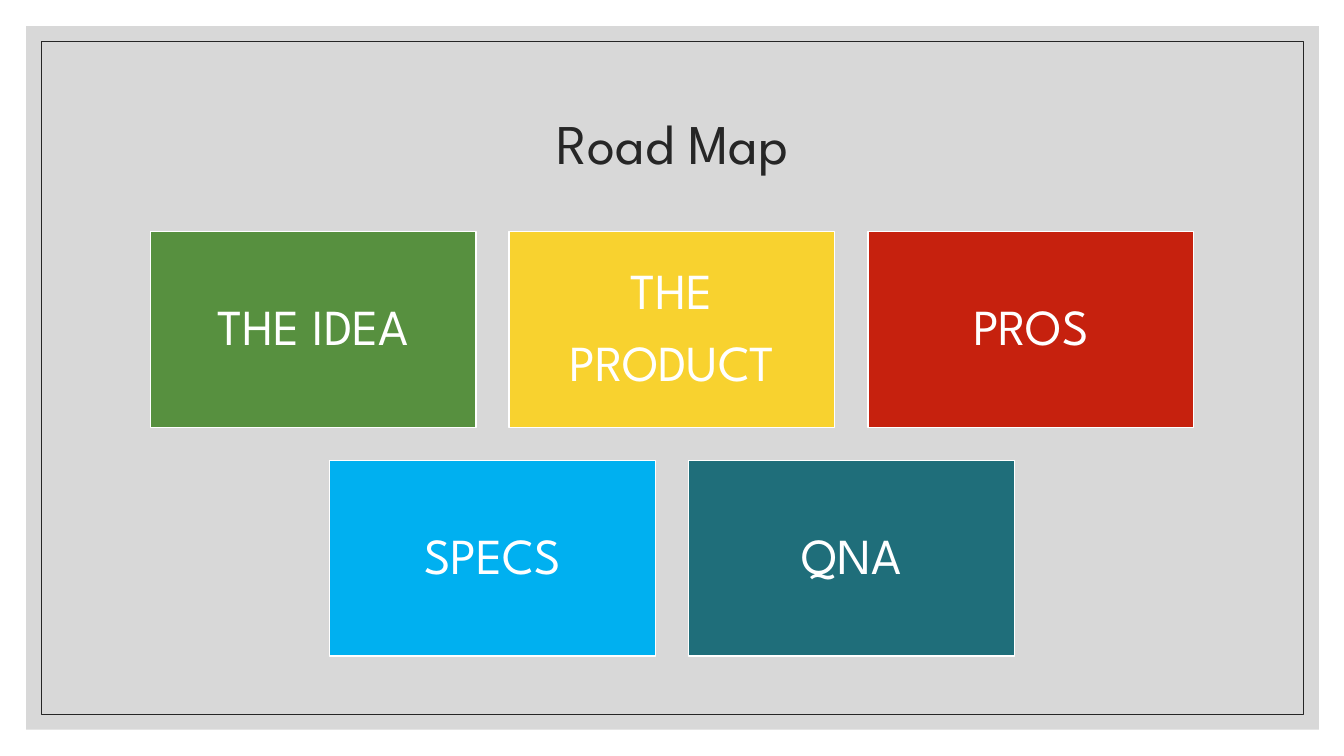
import pptx
import pptx.dml.color
import pptx.enum.shapes
import pptx.enum.text
import pptx.oxml.ns
import pptx.util
from dataclasses import dataclass
from lxml import etree

EMU_PER_PX = 9144  # 100 px to the inch
PAGE_WIDTH, PAGE_HEIGHT = 1333, 750
CARD_WIDTH, CARD_HEIGHT, CARD_GAP = 323, 194, 33
CARDS_TOP = 230


@dataclass(frozen=True)
class Theme:
    font: str = "League Spartan"
    title_size: int = 40
    card_size: int = 36
    card_space_after: float = 12.6
    line_spacing: float = 0.9
    ink: str = "262626"
    white: str = "FFFFFF"
    panel: str = "BFBFBF"
    green: str = "57903F"
    yellow: str = "F8D22F"
    red: str = "C6210E"
    blue: str = "00B0F0"
    teal: str = "1F6E7A"


THEME = Theme()
CARD_ROWS = [
    [("THE IDEA", THEME.green), ("THE\nPRODUCT", THEME.yellow), ("PROS", THEME.red)],
    [("SPECS", THEME.blue), ("QNA", THEME.teal)],
]


def px(length):
    return pptx.util.Emu(length * EMU_PER_PX)


def rgb(code):
    return pptx.dml.color.RGBColor.from_string(code)


def add_rectangle(page, left, top, width, height, fill=None, line=None, line_width=1):
    box = page.shapes.add_shape(
        pptx.enum.shapes.MSO_SHAPE.RECTANGLE, px(left), px(top), px(width), px(height))
    box.shadow.inherit = False
    if fill:
        box.fill.solid()
        box.fill.fore_color.rgb = rgb(fill)
    else:
        box.fill.background()
    if line:
        box.line.color.rgb = rgb(line)
        box.line.width = pptx.util.Pt(line_width)
    else:
        box.line.fill.background()
    return box


def set_opacity(box, percent):
    color = box.fill._xPr.find(".//" + pptx.oxml.ns.qn("a:srgbClr"))
    etree.SubElement(color, pptx.oxml.ns.qn("a:alpha"), val=str(percent * 1000))


def write_text(box, text, size, color, space_after=0):
    """Centre the text in the box, one paragraph to a line."""
    frame = box.text_frame
    frame.word_wrap = True
    frame.vertical_anchor = pptx.enum.text.MSO_ANCHOR.MIDDLE
    frame.text = text
    for para in frame.paragraphs:
        para.alignment = pptx.enum.text.PP_ALIGN.CENTER
        para.line_spacing = THEME.line_spacing
        para.space_after = pptx.util.Pt(space_after)
        para.font.name = THEME.font
        para.font.size = pptx.util.Pt(size)
        para.font.color.rgb = rgb(color)


def add_backdrop(page):
    panel = add_rectangle(page, 26, 26, 1282, 698, fill=THEME.panel)
    set_opacity(panel, 60)
    add_rectangle(page, 41, 41, 1252, 668, line=THEME.ink, line_width=0.5)


def add_title(page, text):
    box = page.shapes.add_textbox(px(117), px(70), px(1100), px(150))
    write_text(box, text, THEME.title_size, THEME.ink)


def add_card(page, left, top, text, fill):
    card = add_rectangle(page, left, top, CARD_WIDTH, CARD_HEIGHT, fill, THEME.white)
    frame = card.text_frame
    frame.margin_left = frame.margin_right = px(15)
    frame.margin_top = frame.margin_bottom = px(15)
    write_text(card, text, THEME.card_size, THEME.white, THEME.card_space_after)


def add_card_rows(page, rows):
    """Lay out the cards in rows, each centred on the page."""
    for row_index, row in enumerate(rows):
        top = CARDS_TOP + row_index * (CARD_HEIGHT + CARD_GAP)
        row_width = len(row) * (CARD_WIDTH + CARD_GAP) - CARD_GAP
        row_left = (PAGE_WIDTH - row_width) // 2
        for column, (text, fill) in enumerate(row):
            add_card(page, row_left + column * (CARD_WIDTH + CARD_GAP), top, text, fill)


def main():
    deck = pptx.Presentation()
    deck.slide_width, deck.slide_height = px(PAGE_WIDTH), px(PAGE_HEIGHT)
    page = deck.slides.add_slide(deck.slide_layouts[6])
    add_backdrop(page)
    add_title(page, "Road Map")
    add_card_rows(page, CARD_ROWS)
    deck.save("out.pptx")


if __name__ == "__main__":
    main()
